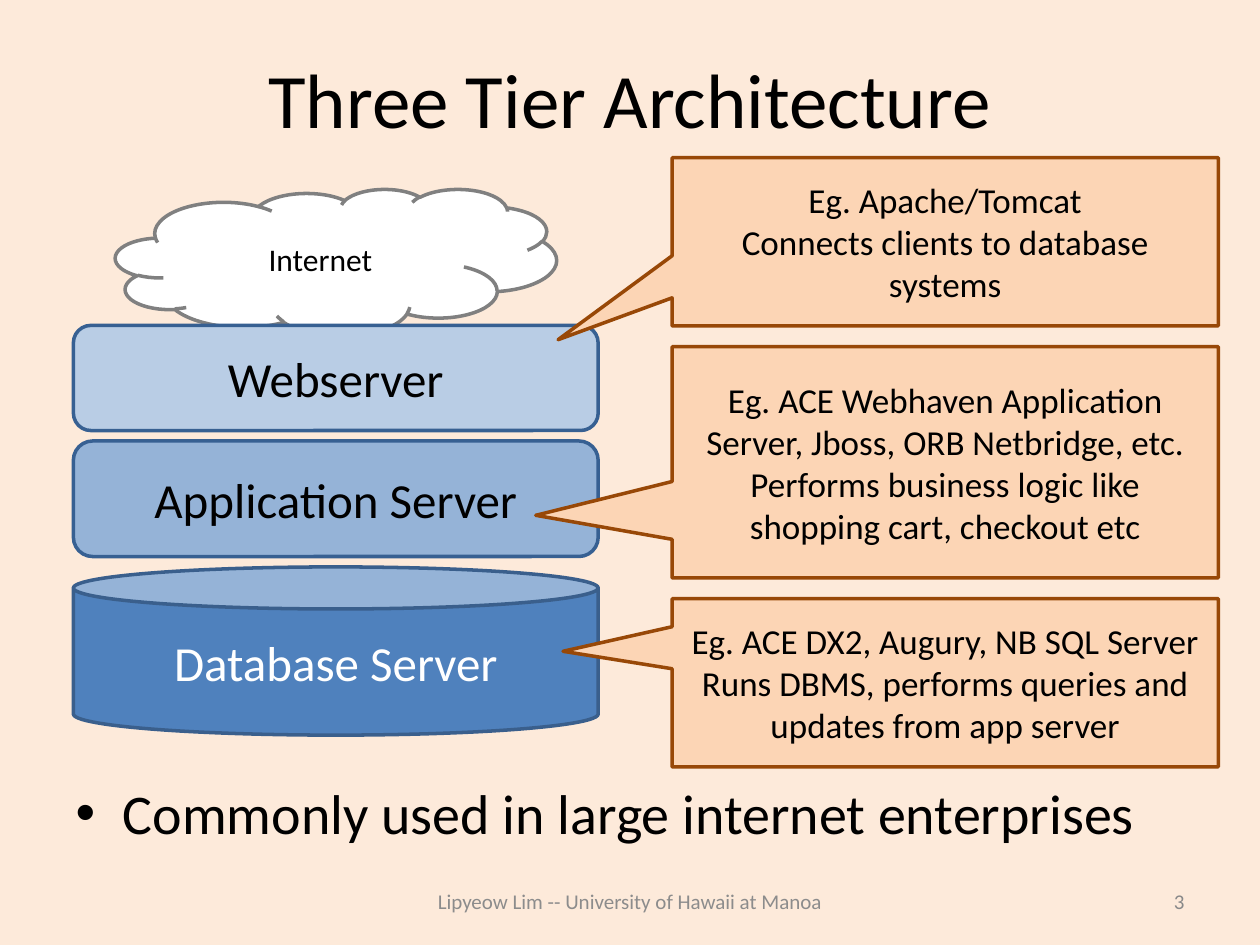
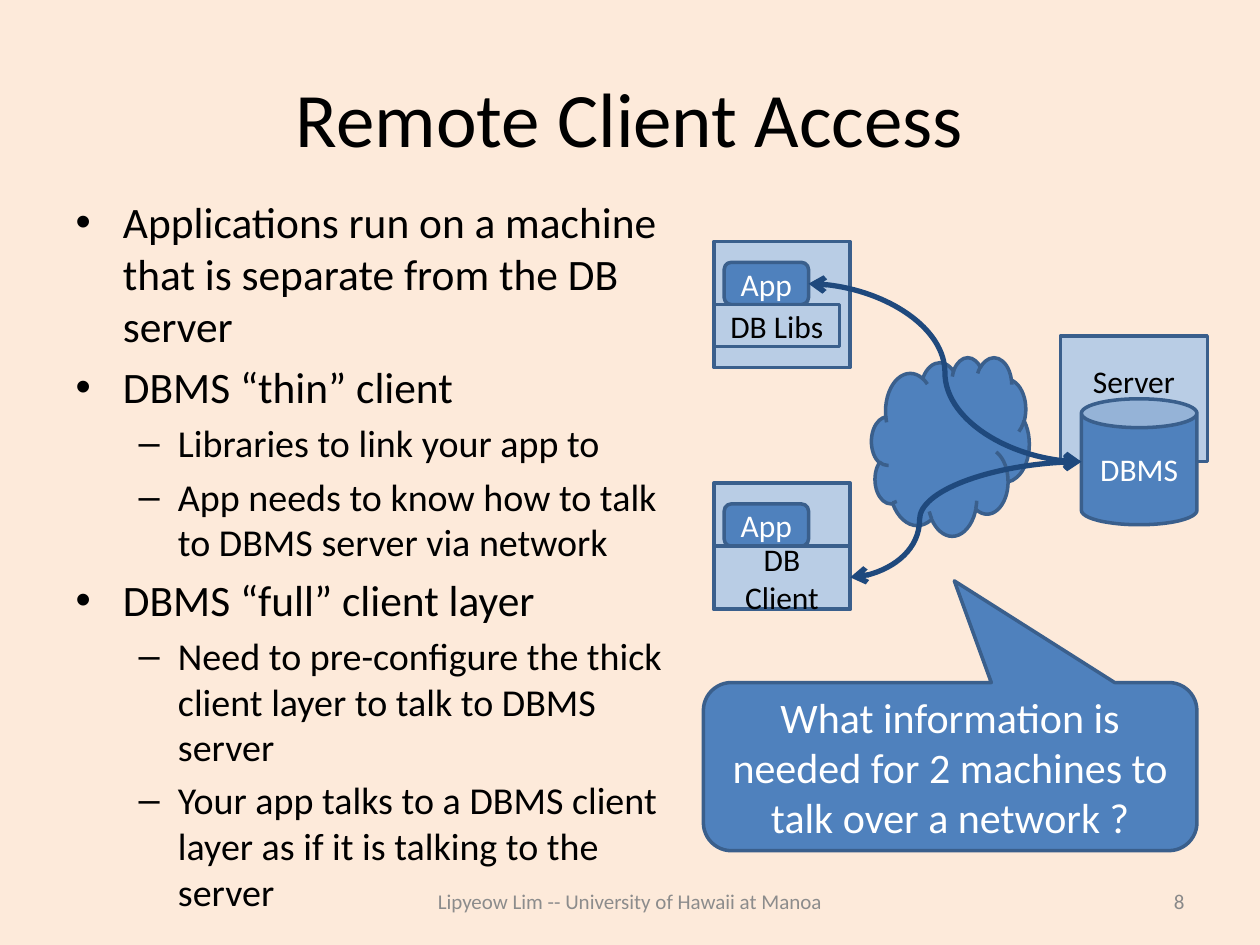
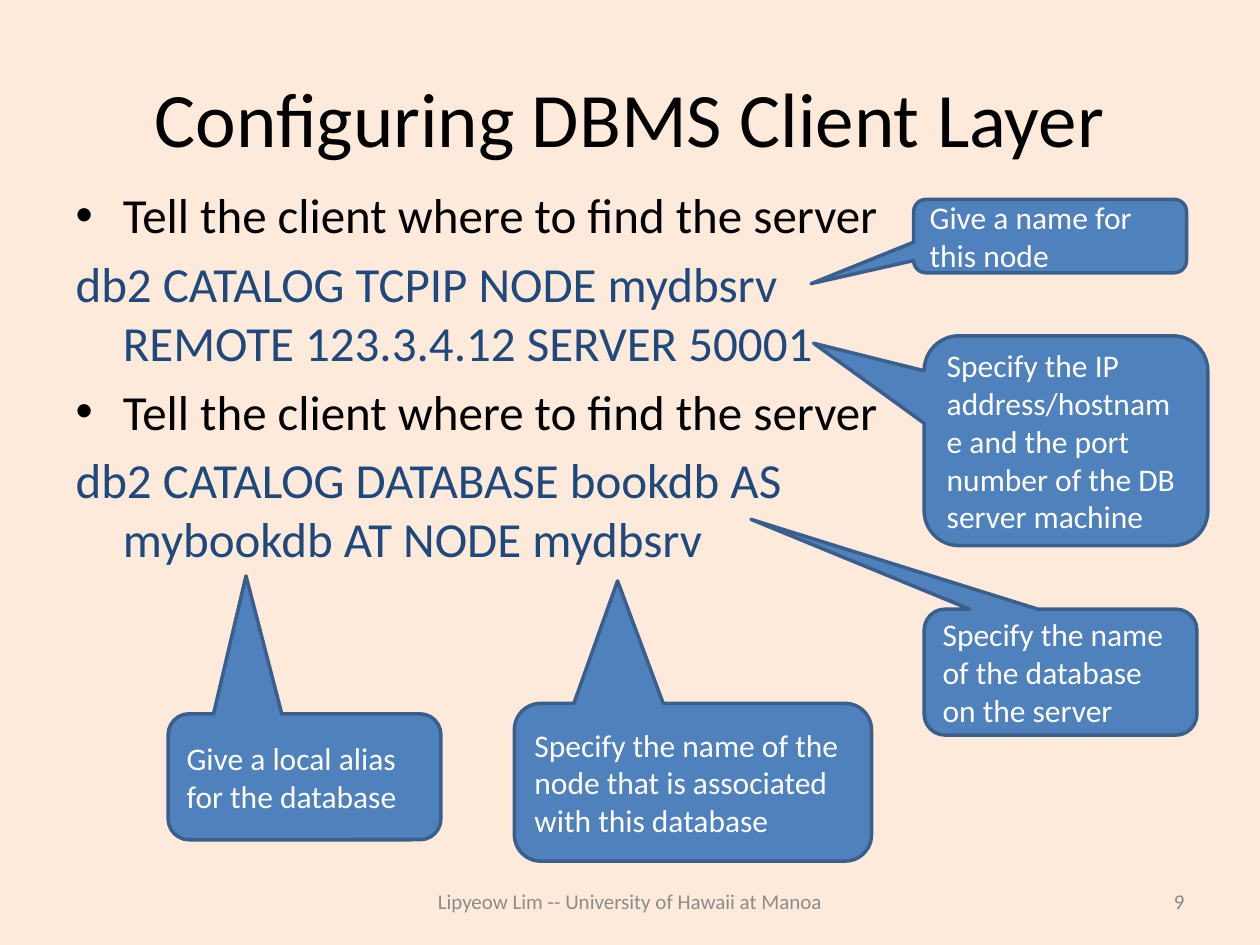
from pptx import Presentation
from pptx import util as u
from pptx.dml.color import RGBColor
from pptx.enum import shapes, text
from pptx.oxml.ns import qn
from lxml import etree

Cm, Pt = u.Cm, u.Pt
SHAPE = shapes.MSO_SHAPE
ALIGN = text.PP_ALIGN
ANCHOR = text.MSO_ANCHOR

FONT = "Calibri"
FOOTER = "Lipyeow Lim -- University of Hawaii at Manoa"
BLACK = RGBColor(0, 0, 0)
WHITE = RGBColor(0xFF, 0xFF, 0xFF)
CREAM = RGBColor(0xFD, 0xEA, 0xDA)
PEACH = RGBColor(0xFC, 0xD5, 0xB5)
BROWN = RGBColor(0x98, 0x48, 0x07)
BLUE = RGBColor(0x4F, 0x81, 0xBD)
MID_BLUE = RGBColor(0x95, 0xB3, 0xD7)
PALE_BLUE = RGBColor(0xB9, 0xCD, 0xE5)
EDGE_BLUE = RGBColor(0x3A, 0x5F, 0x8C)
TIER_EDGE = RGBColor(0x37, 0x60, 0x92)
NAVY = RGBColor(0x1F, 0x49, 0x7D)
GRAY = RGBColor(0x80, 0x80, 0x80)
FOOTER_GRAY = RGBColor(0x8C, 0x8C, 0x8C)
NUMBER_GRAY = RGBColor(0x89, 0x89, 0x89)


def format_paragraph(paragraph, size, color, align=None):
    paragraph.alignment = align
    font = paragraph.font
    font.name, font.size = FONT, Pt(size)
    font.color.rgb = color


def fill_frame(frame, lines, size, color, align):
    frame.word_wrap = True
    frame.vertical_anchor = ANCHOR.MIDDLE
    frame.text = "\n".join(lines)
    for paragraph in frame.paragraphs:
        format_paragraph(paragraph, size, color, align)


def place(shape, box):
    shape.left, shape.top, shape.width, shape.height = map(Cm, box)


def add_label(slide, box, label, color, align):
    frame = slide.shapes.add_textbox(*map(Cm, box)).text_frame
    fill_frame(frame, [label], 12, color, align)


def add_slide(presentation, title, number, title_height=3.18):
    """Add a slide with its title, footer and slide number."""
    slide = presentation.slides.add_slide(presentation.slide_layouts[1])
    place(slide.shapes.title, (1.27, 0.76, 22.86, title_height))
    fill_frame(slide.shapes.title.text_frame, [title], 44, BLACK, ALIGN.CENTER)
    add_label(slide, (7.62, 17.65, 10.16, 1.02), FOOTER, FOOTER_GRAY, ALIGN.CENTER)
    add_label(slide, (18.21, 17.65, 5.92, 1.02), str(number), NUMBER_GRAY, ALIGN.RIGHT)
    return slide


def add_body(slide, box, items, sizes):
    """Fill the body with (level, text) items; level None is a command line."""
    body = slide.placeholders[1]
    place(body, box)
    frame = body.text_frame
    frame.auto_size = text.MSO_AUTO_SIZE.NONE
    frame.text = "\n".join(line for _, line in items)
    for paragraph, (level, _) in zip(frame.paragraphs, items):
        is_command = level is None
        paragraph.level = level or 0
        if is_command:
            etree.SubElement(paragraph._p.get_or_add_pPr(), qn("a:buNone"))
        format_paragraph(paragraph, sizes[level or 0], NAVY if is_command else BLACK)
    frame.paragraphs[0].space_before = Pt(0)


def add_block(slide, kind, box, lines=(), fill=BLUE, edge=EDGE_BLUE,
              size=18, color=WHITE, align=ALIGN.CENTER):
    shape = slide.shapes.add_shape(kind, *map(Cm, box))
    shape.shadow.inherit = False
    shape.fill.solid()
    shape.fill.fore_color.rgb = fill
    shape.line.color.rgb = edge
    shape.line.width = Pt(2)
    if lines:
        fill_frame(shape.text_frame, lines, size, color, align)
    return shape


def add_callout(slide, box, tip, lines, kind=SHAPE.ROUNDED_RECTANGULAR_CALLOUT, **style):
    """Add a callout whose pointer ends at tip, an (x, y) in cm."""
    callout = add_block(slide, kind, box, lines, **style)
    left, top, width, height = box
    callout.adjustments[0] = (tip[0] - left) / width - 0.5
    callout.adjustments[1] = (tip[1] - top) / height - 0.5


def add_curved_arrow(slide, start, end, bend):
    """Add a double-headed curve that turns at the fraction bend of its width."""
    connector = slide.shapes.add_connector(
        shapes.MSO_CONNECTOR.CURVE, *map(Cm, start + end))
    connector.line.color.rgb = NAVY
    connector.line.width = Pt(3)
    properties = connector._element.spPr
    guides = properties.find(qn("a:prstGeom")).get_or_add_avLst()
    etree.SubElement(guides, qn("a:gd"), name="adj1", fmla=f"val {round(bend * 100000)}")
    line = properties.find(qn("a:ln"))
    for arrow_end in ("a:headEnd", "a:tailEnd"):
        etree.SubElement(line, qn(arrow_end), type="arrow")
    etree.SubElement(properties, qn("a:effectLst"))


def add_client(slide, top, layer, layer_width, layer_height):
    """Add a client machine with an app on top of a database layer."""
    left = 14.39
    pale = dict(fill=PALE_BLUE, color=BLACK)
    add_block(slide, SHAPE.RECTANGLE, (left, top, 2.75, 2.54), **pale)
    add_block(slide, SHAPE.ROUNDED_RECTANGLE, (left + 0.21, top + 0.42, 1.7, 0.85), ["App"])
    add_block(slide, SHAPE.RECTANGLE,
              (left, top + 1.27, layer_width, layer_height), [layer], **pale)


def build_three_tiers(presentation):
    slide = add_slide(presentation, "Three Tier Architecture", 3, 2.41)
    add_body(slide, (1.27, 15.57, 22.86, 1.78),
             [(0, "Commonly used in large internet enterprises")], [32])
    add_block(slide, SHAPE.CLOUD, (2.33, 3.81, 8.89, 2.96), ["Internet"],
              fill=WHITE, edge=GRAY, color=BLACK)

    tiers = [
        (SHAPE.ROUNDED_RECTANGLE, 2.12, "Webserver", PALE_BLUE, TIER_EDGE, BLACK),
        (SHAPE.ROUNDED_RECTANGLE, 2.33, "Application Server", MID_BLUE, TIER_EDGE, BLACK),
        (SHAPE.CAN, 3.39, "Database Server", BLUE, EDGE_BLUE, WHITE),
    ]
    top = 6.56
    for kind, height, name, fill, edge, color in tiers:
        add_block(slide, kind, (1.48, top, 10.58, height), [name],
                  fill=fill, edge=edge, size=28, color=color)
        top += height + 0.21

    examples = [
        (3.39, (11.25, 6.85), ["Eg. Apache/Tomcat",
                               "Connects clients to database systems"]),
        (4.66, (10.8, 10.39), ["Eg. ACE Webhaven Application Server, Jboss, ORB Netbridge, etc.",
                               "Performs business logic like shopping cart, checkout etc"]),
        (3.39, (11.35, 13.13), ["Eg. ACE DX2, Augury, NB SQL Server",
                                "Runs DBMS, performs queries and updates from app server"]),
    ]
    top = 3.18
    for height, tip, lines in examples:
        add_callout(slide, (13.55, top, 11.01, height), tip, lines,
                    kind=SHAPE.RECTANGULAR_CALLOUT,
                    fill=PEACH, edge=BROWN, size=20, color=BLACK)
        top += height + 0.42


def build_remote_access(presentation):
    slide = add_slide(presentation, "Remote Client Access", 8)
    add_body(slide, (1.27, 3.81, 12.5, 13.21), [
        (0, "Applications run on a machine that is separate from the DB server"),
        (0, "DBMS “thin” client"),
        (1, "Libraries to link your app to"),
        (1, "App needs to know how to talk to DBMS server via network"),
        (0, "DBMS “full” client layer"),
        (1, "Need to pre-configure the thick client layer to talk to DBMS server"),
        (1, "Your app talks to a DBMS client layer as if it is talking to the server"),
    ], [24.8, 21.7])

    server = add_block(slide, SHAPE.RECTANGLE, (21.38, 6.77, 2.96, 2.54), ["Server"],
                       fill=PALE_BLUE, color=BLACK)
    server.text_frame.vertical_anchor = ANCHOR.TOP
    server.text_frame.margin_top = Cm(0.53)
    add_block(slide, SHAPE.CAN, (21.8, 8.04, 2.33, 2.54), ["DBMS"])
    add_block(slide, SHAPE.CLOUD, (17.57, 7.2, 3.18, 3.6))
    add_client(slide, 4.87, "DB Libs", 2.54, 0.85)
    add_client(slide, 9.74, "DB Client", 2.75, 1.27)

    dbms_side = (21.8, 9.31)
    add_curved_arrow(slide, (16.3, 5.72), dbms_side, 0.5)
    add_curved_arrow(slide, (17.14, 11.64), dbms_side, 0.3)
    add_callout(slide, (14.18, 13.76, 9.95, 3.39), (19.24, 11.71),
                ["What information is needed for 2 machines to talk over a network ?"],
                size=24)


def build_client_configuration(presentation):
    slide = add_slide(presentation, "Configuring DBMS Client Layer", 9)
    tell_client = (0, "Tell the client where to find the server")
    add_body(slide, (1.27, 3.6, 17.15, 13.42), [
        tell_client,
        (None, "db2 CATALOG TCPIP NODE mydbsrv REMOTE 123.3.4.12 SERVER 50001"),
        tell_client,
        (None, "db2 CATALOG DATABASE bookdb AS mybookdb AT NODE mydbsrv"),
    ], [28])

    hints = [
        ((18.42, 4.02, 5.5, 1.48), (16.35, 5.72), "Give a name for this node"),
        ((18.63, 6.77, 5.72, 4.23), (16.4, 6.92),
         "Specify the IP address/hostname and the port number of the DB server machine"),
        ((18.63, 12.28, 5.5, 2.54), (15.14, 10.47),
         "Specify the name of the database on the server"),
        ((3.39, 14.39, 5.5, 2.54), (4.96, 11.61), "Give a local alias for the database"),
        ((10.37, 14.18, 7.2, 3.18), (12.45, 11.71),
         "Specify the name of the node that is associated with this database"),
    ]
    for box, tip, hint in hints:
        add_callout(slide, box, tip, [hint], align=ALIGN.LEFT)


def main():
    presentation = Presentation()
    presentation.slide_width, presentation.slide_height = Cm(25.4), Cm(19.05)
    background = presentation.slide_master.background.fill
    background.solid()
    background.fore_color.rgb = CREAM
    build_three_tiers(presentation)
    build_remote_access(presentation)
    build_client_configuration(presentation)
    presentation.save("out.pptx")


if __name__ == "__main__":
    main()
